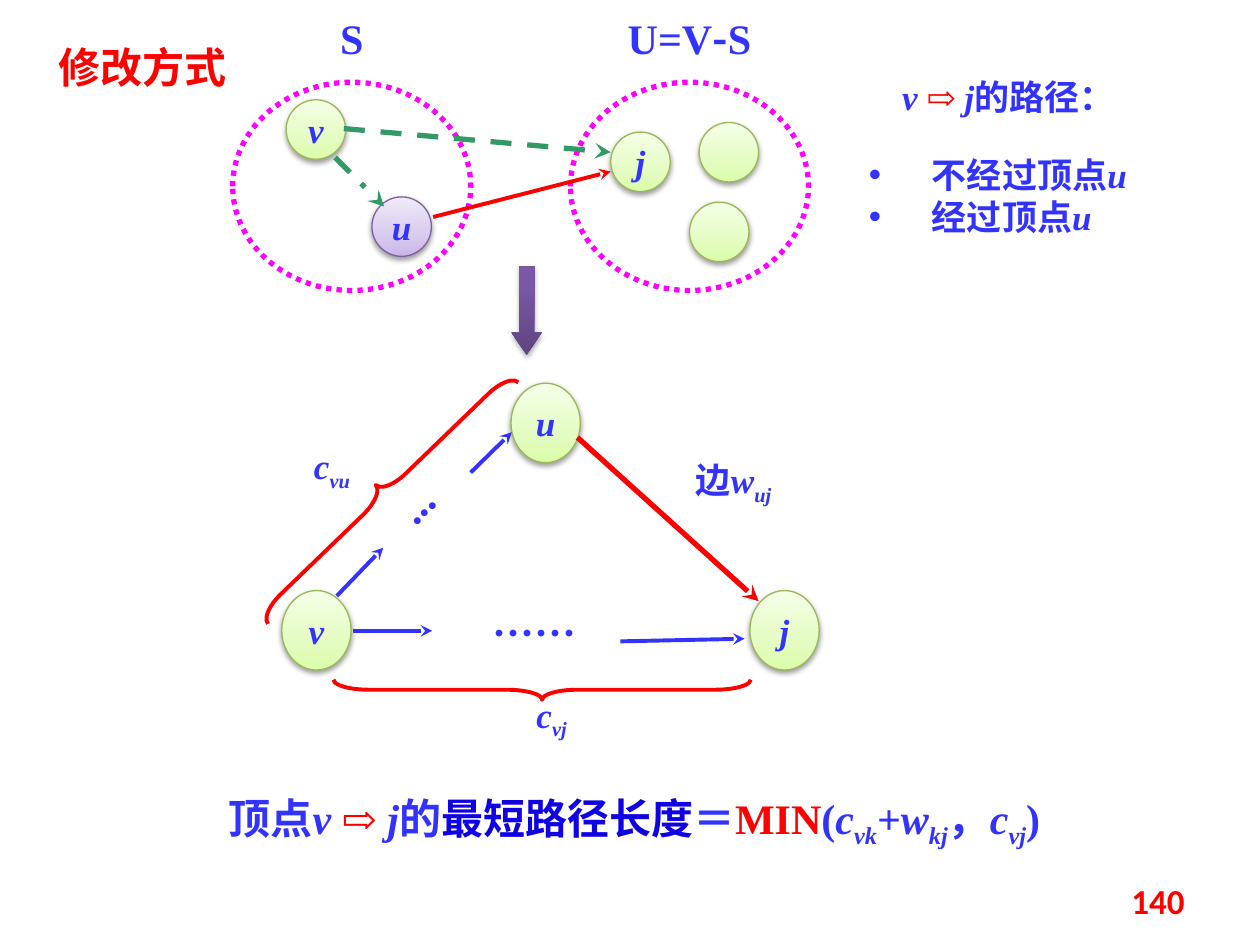
from lxml import etree
from pptx import Presentation
from pptx.dml.color import RGBColor
from pptx.enum import dml, shapes, text
from pptx.oxml import ns
from pptx.util import Pt

COLORS = {
    "blue": "3333FF", "deep blue": "1000E4", "red": "FF0000",
    "magenta": "FF00FF", "teal": "339966",
    "green edge": "98B955", "purple edge": "7D60A0", "shadow": "000000",
}
GREEN = [(0, "DAFDA7"), (35, "E4FCC2"), (100, "F5FFE7")]
PURPLE = [(0, "C9B5E8"), (35, "D8CBEE"), (100, "F0EAF9")]
VIOLET = [(0, "5F4480"), (80, "7B58A6"), (100, "7C57A8")]
SERIF, SANS, NUMBER = "Times New Roman", "Noto Sans CJK SC", "Calibri"
CENTER = text.PP_ALIGN.CENTER


def color(name):
    return RGBColor.from_string(COLORS[name])


def add_element(parent, tag, **attributes):
    element = etree.SubElement(parent, ns.qn(tag))
    for key, value in attributes.items():
        element.set(key, str(value))
    return element


def write(para, spans, size, align=CENTER):
    """Fill a paragraph from (text, style, colour, font) spans; only text is required.

    Style letters: i italic, s subscript, p plain weight.
    """
    para.alignment = align
    for words, style, ink, font in [(s + ("", "blue", SERIF)[len(s) - 1:]) for s in spans]:
        span = para.add_run()
        span.text = words
        span.font.size = Pt(size)
        span.font.bold = "p" not in style
        span.font.italic = "i" in style
        span.font.color.rgb = color(ink)
        span.font.name = font
        if "s" in style:
            span.font._element.set("baseline", "-25000")
        add_element(span.font._element, "a:ea", typeface=SANS)


def add_label(page, left, top, width, height, spans, size=20, inset=True):
    box = page.shapes.add_textbox(Pt(left), Pt(top), Pt(width), Pt(height))
    frame = box.text_frame
    frame.word_wrap = True
    if not inset:
        frame.margin_left = frame.margin_right = frame.margin_top = frame.margin_bottom = 0
    write(frame.paragraphs[0], spans, size)
    return box


def add_outline(page, kind, left, top, width, height, ink, weight):
    shape = page.shapes.add_shape(kind, Pt(left), Pt(top), Pt(width), Pt(height))
    shape.shadow.inherit = False
    shape.fill.background()
    shape.line.color.rgb = color(ink)
    shape.line.width = Pt(weight)
    return shape


def add_glow(shape, stops, opacity):
    """Give a shape a vertical gradient and a soft shadow below it."""
    shape.fill.gradient()
    shape.fill.gradient_angle = 90
    properties = shape._element.spPr
    stop_list = properties.find(".//" + ns.qn("a:gsLst"))
    for stop in list(stop_list):
        stop_list.remove(stop)
    for position, value in stops:
        stop = add_element(stop_list, "a:gs", pos=position * 1000)
        add_element(stop, "a:srgbClr", val=value)
    shadow = add_element(properties.find(ns.qn("a:effectLst")), "a:outerShdw",
                         blurRad=Pt(3.1), dist=Pt(1.6), dir=5400000, rotWithShape=0)
    ink = add_element(shadow, "a:srgbClr", val=COLORS["shadow"])
    add_element(ink, "a:alpha", val=opacity * 1000)


def add_node(page, left, top, width, height, name="", stops=GREEN, edge="green edge"):
    node = add_outline(page, shapes.MSO_SHAPE.OVAL, left, top, width, height, edge, 0.75)
    add_glow(node, stops, 38)
    if name:
        frame = node.text_frame
        frame.word_wrap = False
        frame.vertical_anchor = text.MSO_ANCHOR.MIDDLE
        write(frame.paragraphs[0], [(name, "i")], 20)


def add_arrow(page, left, top, start, end, ink="blue", weight=2.25, dash=None):
    arrow = page.shapes.add_connector(
        shapes.MSO_CONNECTOR.STRAIGHT, Pt(left + start[0]), Pt(top + start[1]),
        Pt(left + end[0]), Pt(top + end[1]))
    arrow.line.color.rgb = color(ink)
    arrow.line.width = Pt(weight)
    if dash:
        arrow.line.dash_style = dash
    properties = arrow._element.spPr
    add_element(properties.find(ns.qn("a:ln")), "a:tailEnd", type="stealth")
    add_element(properties, "a:effectLst")


def add_brace(page, kind, left, top, width, height, rotation, curve):
    brace = add_outline(page, kind, left, top, width, height, "red", 2.25)
    brace.rotation = rotation
    brace.adjustments[0] = curve


def draw_title(page, left, top, width, height):
    title = page.shapes.title
    title.left, title.top, title.width, title.height = map(Pt, (left, top, width, height))
    title.text_frame.word_wrap = True
    title.text_frame.vertical_anchor = text.MSO_ANCHOR.TOP
    write(title.text_frame.paragraphs[0], [("修改方式", "", "red", SANS)], 24)


def draw_sets(page, left, top):
    set_width, set_height, set_gap, node = 136, 119, 193, 34
    names = [[("S",)], [("U=V",), ("-", "", "blue", SANS), ("S",)]]
    for index, name in enumerate(names):
        x = left + index * set_gap
        ring = add_outline(page, shapes.MSO_SHAPE.OVAL, x, top + 40,
                           set_width, set_height, "magenta", 3)
        ring.line.dash_style = dml.MSO_LINE.ROUND_DOT
        add_label(page, x + 28, top, 80, 29, name, 24, inset=False)
    for x, y, *look in [(30.5, 50, "v"), (79.5, 105.5, "u", PURPLE, "purple edge"),
                        (216, 68.5, "j"), (261, 108.5), (266.5, 63)]:
        add_node(page, left + x, top + y, node, node, *look)
    add_arrow(page, left, top, (114.5, 117), (216, 91), "red")
    add_arrow(page, left, top, (63.5, 66.5), (216, 80), "teal", 3, dml.MSO_LINE.DASH)
    add_arrow(page, left, top, (58.5, 83), (86.5, 111), "teal", 3, dml.MSO_LINE.DASH_DOT)


def draw_down_arrow(page, left, top, width, height):
    arrow = add_outline(page, shapes.MSO_SHAPE.DOWN_ARROW, left, top, width, height, "blue", 1)
    arrow.line.fill.background()
    arrow.adjustments[1] = 0.75
    add_glow(arrow, VIOLET, 35)


def draw_triangle(page, left, top):
    for name, x, y in [("u", 131, 36), ("v", 0, 154.5), ("j", 267.5, 154.5)]:
        add_node(page, left + x, top + y, 39.6, 45.4, name)
    add_arrow(page, left, top, (169, 67), (272.5, 160.5), "red", 3)
    for start, end in [((31.5, 157.5), (58, 130)), ((108, 87), (131.5, 64)),
                       ((40.5, 177.5), (86, 177.5)), ((193.5, 183.5), (264.5, 182))]:
        add_arrow(page, left, top, start, end)
    add_brace(page, shapes.MSO_SHAPE.LEFT_BRACE, left + 51.5, top, 14.4, 198.7, 46, 1.17)
    add_brace(page, shapes.MSO_SHAPE.RIGHT_BRACE, left + 143, top + 92, 11.5, 238.3, 90, 1.76)
    dots = add_label(page, left + 62, top + 98, 51, 36, [("...",)], 24)
    dots.rotation = 135
    add_label(page, left + 107.5, top + 160.5, 73.4, 36, [("……", "", "blue", SANS)], 24)
    for x, y, width, spans in [
            (6, 67.5, 45.4, [("c", "i"), ("vu", "is")]),
            (131.5, 209.5, 45.4, [("c", "i"), ("vj", "is")]),
            (210, 75.5, 96.5, [("边",), ("w", "i"), ("uj", "is")])]:
        add_label(page, left + x, top + y, width, 31.7, spans)


def draw_path_cases(page, left, top):
    add_label(page, left, top, 196.6, 31.7,
              [("v ", "i"), ("⇨ ", "", "red"), ("j", "i"), ("的路径：",)])
    box = page.shapes.add_textbox(Pt(left + 11.5), Pt(top + 44.6), Pt(186), Pt(55.4))
    frame = box.text_frame
    frame.word_wrap = True
    for index, words in enumerate(["不经过顶点", "经过顶点"]):
        para = frame.add_paragraph() if index else frame.paragraphs[0]
        properties = para._p.get_or_add_pPr()
        properties.set("marL", str(Pt(36)))
        properties.set("indent", str(-Pt(36)))
        add_element(properties, "a:buFont", typeface="Arial")
        add_element(properties, "a:buChar", char="•")
        write(para, [(words,), ("u", "i")], 20, text.PP_ALIGN.LEFT)


def draw_formula(page, left, top, width, height):
    add_label(page, left, top, width, height, [
        ("顶点",), ("v ", "i"), ("⇨ ", "", "red"), ("j", "i"), ("的",),
        ("最短路径长度", "", "deep blue"), ("＝",), ("MIN", "", "red"), ("(",),
        ("c", "i"), ("vk", "is"), ("+",), ("w", "i"), ("kj", "is"), ("，",),
        ("c", "i"), ("vj", "is"), (")",)], 24)


def draw_page_number(page, left, top, width, height):
    box = add_label(page, left, top, width, height, [("140", "", "red", NUMBER)])
    box.text_frame.vertical_anchor = text.MSO_ANCHOR.MIDDLE
    box.text_frame.paragraphs[0].alignment = text.PP_ALIGN.RIGHT


def main():
    deck = Presentation()
    deck.slide_width, deck.slide_height = Pt(720), Pt(540)
    page = deck.slides.add_slide(deck.slide_layouts[5])
    draw_title(page, 22.3, 20, 118, 36)
    draw_formula(page, 106.5, 449.3, 512, 36)
    draw_sets(page, 133, 7)
    draw_triangle(page, 161, 183)
    draw_down_arrow(page, 292.3, 152, 17.3, 51)
    draw_path_cases(page, 478, 39.6)
    draw_page_number(page, 516, 500.4, 168, 28.8)
    deck.save("out.pptx")


if __name__ == "__main__":
    main()
